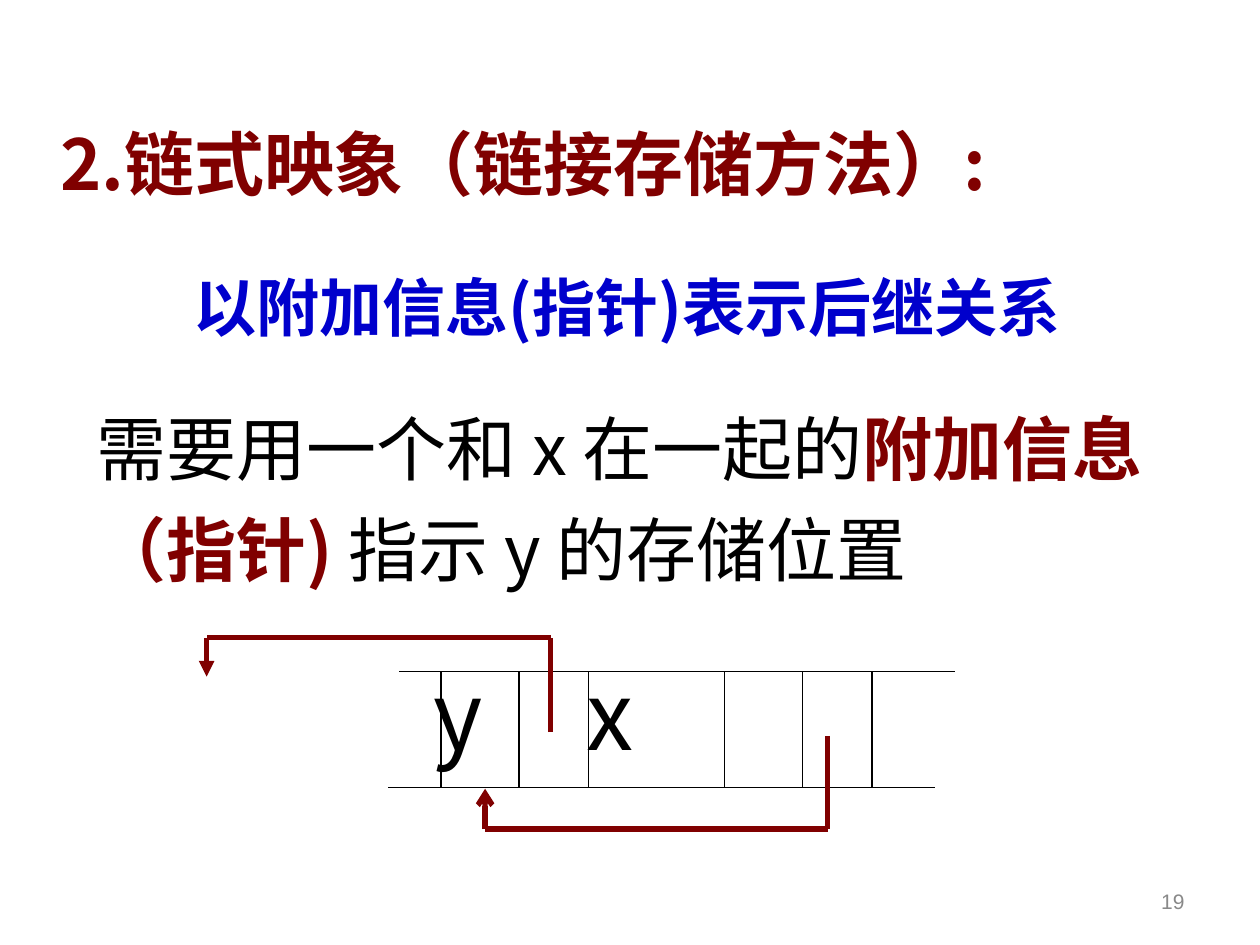
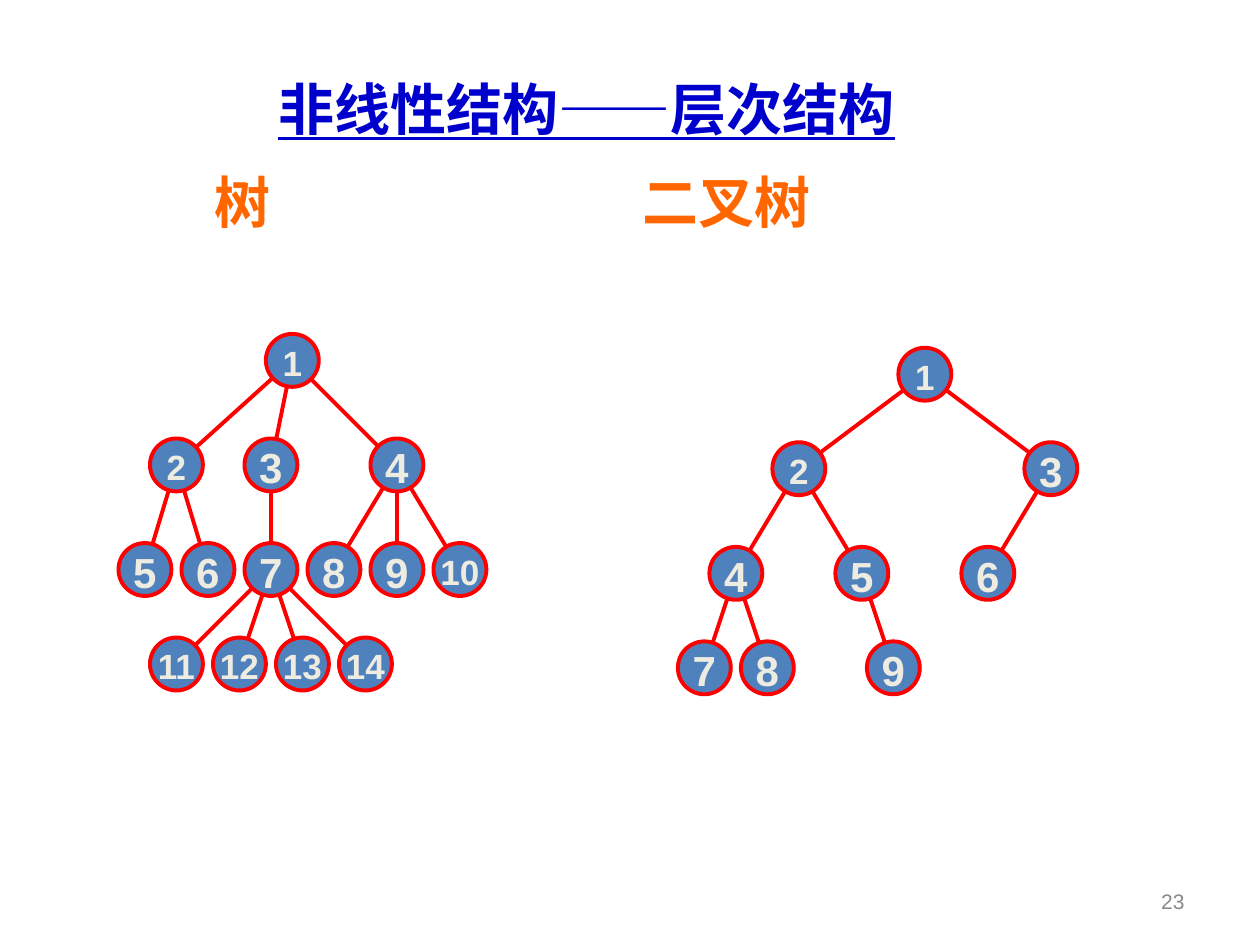
from itertools import pairwise
from math import hypot

from lxml import etree
from pptx import Presentation
from pptx import util as u
from pptx.dml.color import RGBColor
from pptx.enum import shapes, text
from pptx.oxml.ns import qn

HEX = {"maroon": "800000", "blue": "0000CC", "black": "000000", "gray": "898989",
       "orange": "FF6600", "red": "FF0000", "node": "4F81BD", "cream": "EEECE1"}
CJK, SANS, SERIF = "Noto Sans CJK SC", "Arial", "Times New Roman"

# Linked storage: plain headings, then a paragraph of (words, colour, bold)
HEADS = [
    ("2.链式映象（链接存储方法）:", (0.38, 0.91, 8.07, 0.77), 40, "maroon"),
    ("以附加信息(指针)表示后继关系", (1.44, 2.08, 7.68, 0.7), 36, "blue"),
]
BODY = [("需要用一个和 x 在一起的", "black", False),
        ("附加信息（指针) ", "maroon", True),
        ("指示 y 的存储位置", "black", False)]
TOP, BASE = 5.33, 6.25
RAILS = [(3.17, 7.58, TOP), (3.08, 7.42, BASE)]
RECORDS = [3.5, 5.75]
SPLITS = [0, 0.62, 1.17]
LINKS = [
    ("triangle", [(4.37, 5.81), (4.37, 5.06), (1.64, 5.06), (1.64, 5.37)]),
    ("arrow", [(6.57, 5.84), (6.57, 6.58), (3.85, 6.58), (3.85, 6.26)]),
]

# Trees: node -> (column, row), with columns a quarter inch apart
STEP, SIZE = 0.25, 0.42
TREES = [
    {"left": 0.94, "rows": [2.65, 3.48, 4.31, 5.06],
     "nodes": {1: (4.68, 0), 2: (1, 1), 3: (4, 1), 4: (8, 1),
               5: (0, 2), 6: (2, 2), 7: (4, 2), 8: (6, 2), 9: (8, 2), 10: (10, 2),
               11: (1, 3), 12: (3, 3), 13: (5, 3), 14: (7, 3)},
     "kids": {1: [2, 3, 4], 2: [5, 6], 3: [7], 4: [8, 9, 10],
              7: [11, 12, 13, 14]}},
    {"left": 5.38, "rows": [2.76, 3.51, 4.34, 5.09],
     "nodes": {1: (7, 0), 2: (3, 1), 3: (11, 1), 4: (1, 2), 5: (5, 2), 6: (9, 2),
               7: (0, 3), 8: (2, 3), 9: (6, 3)},
     "kids": {1: [2, 3], 2: [4, 5], 3: [6], 4: [7, 8], 5: [9]}},
]


def color(name):
    return RGBColor.from_string(HEX[name])


def style(para, size, tint, bold=False, face=CJK, tabs=()):
    """Set a paragraph's font, and tab stops in inches."""
    font = para.font
    font.size, font.bold, font.name = u.Pt(size), bold, face
    font.color.rgb = color(tint)
    base = para._p.pPr.find(qn("a:defRPr"))
    if face == CJK:
        etree.SubElement(base, qn("a:ea"), typeface=face)
    if tabs:
        stops = etree.Element(qn("a:tabLst"))
        for tab in tabs:
            etree.SubElement(stops, qn("a:tab"), pos=str(u.Inches(tab)), algn="l")
        base.addprevious(stops)


def write(slide, words, box, size, tint, wrap=True, pad=0.1, middle=False, **kw):
    frame = slide.shapes.add_textbox(*map(u.Inches, box)).text_frame
    frame.word_wrap = wrap
    frame.margin_left = frame.margin_right = u.Inches(pad)
    frame.margin_top = frame.margin_bottom = u.Inches(pad / 2)
    if middle:
        frame.vertical_anchor = text.MSO_ANCHOR.MIDDLE
    para = frame.paragraphs[0]
    if words:
        para.add_run().text = words
    style(para, size, tint, **kw)
    return para


def draw(slide, start, end, tint, width, tip=None):
    line = slide.shapes.add_connector(
        shapes.MSO_CONNECTOR.STRAIGHT, *map(u.Inches, (*start, *end)))
    line.line.color.rgb = color(tint)
    line.line.width = u.Pt(width)
    props = line._element.spPr
    if tip:
        etree.SubElement(props.find(qn("a:ln")), qn("a:tailEnd"), type=tip)
    etree.SubElement(props, qn("a:effectLst"))


def number(slide, page):
    para = write(slide, str(page), (7.17, 6.95, 2.33, 0.4), 12, "gray",
                 middle=True, face=SANS)
    para.alignment = text.PP_ALIGN.RIGHT


def linked(slide):
    for words, box, size, tint in HEADS:
        write(slide, words, box, size, tint, wrap=False, bold=True)
    para = write(slide, "", (0.67, 3.04, 9.08, 1.7), 40, "black")
    para.line_spacing = 1.2
    for words, tint, bold in BODY:
        run = para.add_run()
        run.text = words
        run.font.bold = bold
        run.font.color.rgb = color(tint)
    write(slide, "y\tx", (3.34, 5.16, 3.36, 1), 54, "black", tabs=[1.22])
    for left, right, y in RAILS:
        draw(slide, (left, y), (right, y), "black", 0.75)
    for left in RECORDS:
        for split in SPLITS:
            draw(slide, (left + split, TOP), (left + split, BASE), "black", 0.75)
    for tip, path in LINKS:
        legs = list(pairwise(path))
        for leg in legs:
            draw(slide, *leg, "maroon", 3, tip if leg == legs[-1] else None)


def join(slide, a, b):
    """Draw an edge from rim to rim of the nodes centred at a and b."""
    share = SIZE / 2 / hypot(b[0] - a[0], b[1] - a[1])
    dx, dy = (b[0] - a[0]) * share, (b[1] - a[1]) * share
    draw(slide, (a[0] + dx, a[1] + dy), (b[0] - dx, b[1] - dy), "red", 2.25)


def node(slide, label, mid):
    oval = slide.shapes.add_shape(
        shapes.MSO_SHAPE.OVAL, u.Inches(mid[0] - SIZE / 2),
        u.Inches(mid[1] - SIZE / 2), u.Inches(SIZE), u.Inches(SIZE))
    oval.shadow.inherit = False
    oval.fill.solid()
    oval.fill.fore_color.rgb = color("node")
    oval.line.color.rgb = color("red")
    oval.line.width = u.Pt(2.25)
    frame = oval.text_frame
    frame.word_wrap = False
    frame.margin_left = frame.margin_right = frame.margin_bottom = 0
    frame.margin_top = u.Inches(0.03)
    frame.vertical_anchor = text.MSO_ANCHOR.MIDDLE
    para = frame.paragraphs[0]
    para.add_run().text = str(label)
    para.alignment = text.PP_ALIGN.CENTER
    style(para, 24 if 3 <= label <= 9 else 20, "cream", bold=True, face=SANS)


def trees(slide):
    title = write(slide, "非线性结构——层次结构", (2.09, 0.52, 6.22, 0.67), 32, "blue",
                  pad=0.12, middle=True, bold=True, face=SERIF)
    title.font.underline = True
    write(slide, "\t树\t二叉树", (1.27, 1.27, 8.46, 0.66), 32, "orange",
          pad=0.12, bold=True, tabs=[0.31, 3.71])
    for tree in TREES:
        mids = {label: (tree["left"] + col * STEP + SIZE / 2,
                        tree["rows"][row] + SIZE / 2)
                for label, (col, row) in tree["nodes"].items()}
        for top, kids in tree["kids"].items():
            for kid in kids:
                join(slide, mids[top], mids[kid])
        for label, mid in mids.items():
            node(slide, label, mid)


def main():
    deck = Presentation()
    deck.slide_width, deck.slide_height = u.Inches(10), u.Inches(7.5)
    for fill, page in [(linked, 19), (trees, 23)]:
        slide = deck.slides.add_slide(deck.slide_layouts[6])
        fill(slide)
        number(slide, page)
    deck.save("out.pptx")


if __name__ == "__main__":
    main()
